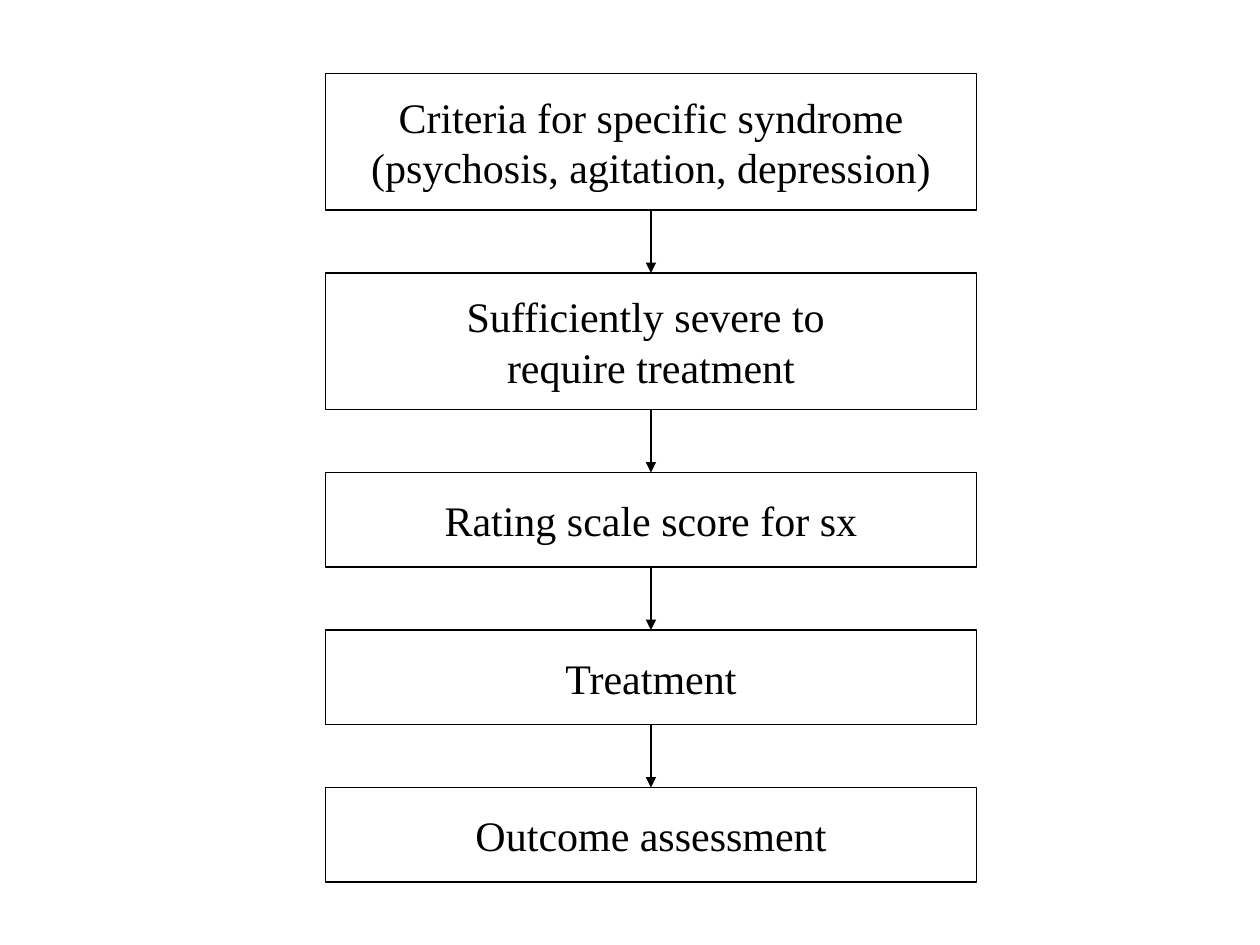
from itertools import pairwise

from lxml import etree
from pptx import Presentation
from pptx.dml.color import RGBColor
from pptx.enum.shapes import MSO_CONNECTOR as Link, MSO_SHAPE as Shape
from pptx.enum.text import MSO_ANCHOR as Anchor, PP_ALIGN as Align
from pptx.oxml.ns import qn
from pptx.util import Pt

SCALE = 914400 // 96
LEFT, TOP, WIDTH, GAP = 248, 56, 496, 48
TALL, SHORT = 104, 72
BLACK = "000000"

STEPS = [
    (TALL, ["Criteria for specific syndrome",
            "(psychosis, agitation, depression)"]),
    (TALL, ["Sufficiently severe to ", "require treatment"]),
    (SHORT, ["Rating scale score for sx"]),
    (SHORT, ["Treatment"]),
    (SHORT, ["Outcome assessment"]),
]


def px(n):
    return n * SCALE


def color(code):
    return RGBColor.from_string(code)


def write(frame, lines, size=24, font="Times New Roman", ink=BLACK,
          align=Align.CENTER):
    frame.word_wrap = False
    frame.vertical_anchor = Anchor.MIDDLE
    for i, line in enumerate(lines):
        para = frame.add_paragraph() if i else frame.paragraphs[0]
        para.alignment = align
        run = para.add_run()
        run.text = line
        run.font.size = Pt(size)
        run.font.name = font
        run.font.color.rgb = color(ink)


def stroke(line):
    line.color.rgb = color(BLACK)
    line.width = Pt(0.75)


def add_box(slide, top, height, lines):
    box = slide.shapes.add_shape(
        Shape.RECTANGLE, px(LEFT), px(top), px(WIDTH), px(height))
    box.shadow.inherit = False
    box.fill.background()
    stroke(box.line)
    write(box.text_frame, lines)
    return box


def add_arrow(slide, start, end):
    arrow = slide.shapes.add_connector(Link.STRAIGHT, 0, 0, 0, 0)
    arrow.begin_connect(start, 2)
    arrow.end_connect(end, 0)
    stroke(arrow.line)
    props = arrow._element.spPr
    etree.SubElement(props.find(qn("a:ln")), qn("a:tailEnd"), type="triangle")
    etree.SubElement(props, qn("a:effectLst"))


def main():
    deck = Presentation()
    deck.slide_width, deck.slide_height = px(960), px(720)
    slide = deck.slides.add_slide(deck.slide_layouts[6])
    boxes, top = [], TOP
    for height, lines in STEPS:
        boxes.append(add_box(slide, top, height, lines))
        top += height + GAP
    for start, end in pairwise(boxes):
        add_arrow(slide, start, end)
    deck.save("out.pptx")


if __name__ == "__main__":
    main()
